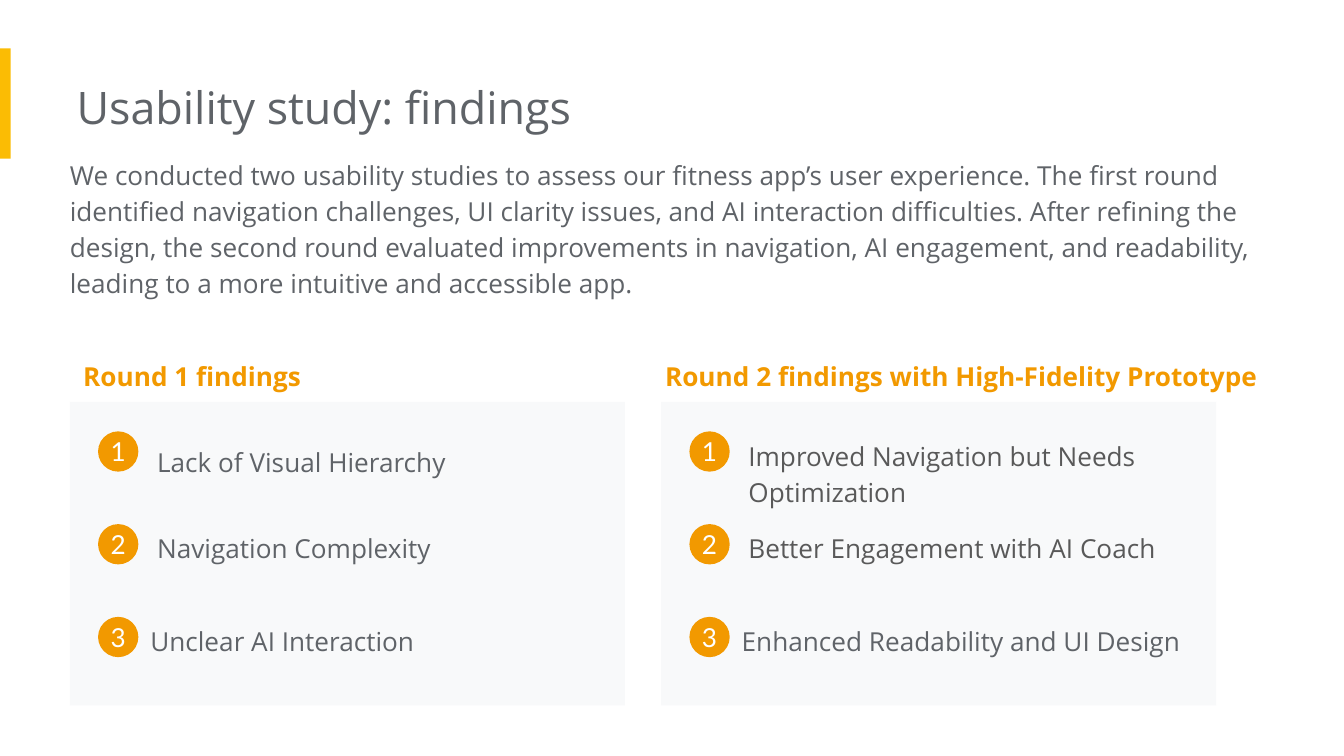
from pptx import Presentation
from pptx.dml.color import RGBColor
from pptx.enum.shapes import MSO_SHAPE as Shape
from pptx.enum.text import MSO_ANCHOR as Anchor, MSO_AUTO_SIZE as AutoSize, PP_ALIGN as Align
from pptx.util import Inches, Pt

TITLE = "Usability study: findings"
INTRO = (
    "We conducted two usability studies to assess our fitness app’s user experience. "
    "The first round identified navigation challenges, UI clarity issues, and AI interaction "
    "difficulties. After refining the design, the second round evaluated improvements in "
    "navigation, AI engagement, and readability, leading to a more intuitive and accessible app."
)
GREY, DARK, ORANGE, YELLOW, PALE, WHITE = (
    "5F6368", "595959", "F29900", "FBBC04", "F8F9FA", "FFFFFF")

ROUNDS = [
    {
        "heading": "Round 1 findings", "heading_shift": 0, "heading_width": 3.65,
        "findings": [
            ("Lack of Visual Hierarchy", GREY, 0.05, 0.44),
            ("Navigation Complexity", GREY, 0, 0.44),
            ("Unclear AI Interaction", GREY, 0, 0.44),
        ],
    },
    {
        "heading": "Round 2 findings with High-Fidelity Prototype",
        "heading_shift": -0.07, "heading_width": 5.26,
        "findings": [
            ("Improved Navigation but Needs Optimization", DARK, 0, 0.71),
            ("Better Engagement with AI Coach", DARK, 0, 0.44),
            ("Enhanced Readability and UI Design", GREY, 0, 0.44),
        ],
    },
]

SLIDE_WIDTH = 10
SLIDE_HEIGHT = SLIDE_WIDTH * 9 / 16
LEFT, COLUMN_STEP = 0.52, 4.4
PANEL_TOP, PANEL_WIDTH, PANEL_HEIGHT = 2.99, 4.13, 2.26
ROW_STEP, BADGE = 0.69, 0.3
TEXT_INDENTS = [0.55, 0.55, 0.5]


def color(value):
    return RGBColor.from_string(value)


def write(shape, text, size=14, font="Open Sans", fill=GREY, bold=False,
          spacing=1.15, align=Align.LEFT, anchor=Anchor.TOP, insets=(0.1, 0.1, 0.1, 0.1)):
    frame = shape.text_frame
    frame.word_wrap = True
    frame.vertical_anchor = anchor
    frame.margin_left, frame.margin_top, frame.margin_right, frame.margin_bottom = map(Inches, insets)
    para = frame.paragraphs[0]
    para.alignment = align
    para.line_spacing = spacing
    span = para.add_run()
    span.text = text
    span.font.size = Pt(size)
    span.font.name = font
    span.font.bold = bold
    span.font.color.rgb = color(fill)


def add_text(page, left, top, width, height, text, **style):
    box = page.shapes.add_textbox(*map(Inches, (left, top, width, height)))
    write(box, text, **style)
    box.text_frame.auto_size = AutoSize.SHAPE_TO_FIT_TEXT


def add_block(page, kind, left, top, width, height, fill):
    block = page.shapes.add_shape(kind, *map(Inches, (left, top, width, height)))
    block.shadow.inherit = False
    block.fill.solid()
    block.fill.fore_color.rgb = color(fill)
    block.line.fill.background()
    return block


def add_round(page, left, study):
    add_text(page, left + study["heading_shift"], 2.55, study["heading_width"], 0.44,
             study["heading"], fill=ORANGE, bold=True)
    add_block(page, Shape.RECTANGLE, left, PANEL_TOP, PANEL_WIDTH, PANEL_HEIGHT, PALE)
    for row, (finding, fill, drop, height) in enumerate(study["findings"]):
        top = PANEL_TOP + 0.15 + row * ROW_STEP
        badge = add_block(page, Shape.OVAL, left + 0.21, top + 0.07, BADGE, BADGE, ORANGE)
        write(badge, str(row + 1), font="Lato", fill=WHITE, spacing=1.0,
              align=Align.CENTER, anchor=Anchor.MIDDLE, insets=(0, 0, 0, 0))
        add_text(page, left + TEXT_INDENTS[row], top + drop, 3.65, height, finding, fill=fill)


def main():
    deck = Presentation()
    deck.slide_width, deck.slide_height = Inches(SLIDE_WIDTH), Inches(SLIDE_HEIGHT)
    page = deck.slides.add_slide(deck.slide_layouts[6])
    flush = (0, 0.1, 0.1, 0.1)
    add_block(page, Shape.RECTANGLE, 0, 0.36, 0.08, 0.82, YELLOW)
    add_text(page, 0.57, 0.49, 6.73, 0.61, TITLE, size=24, spacing=1.0, insets=flush)
    add_text(page, LEFT, 1.05, 8.97, 1.52, INTRO, insets=flush)
    for column, study in enumerate(ROUNDS):
        add_round(page, LEFT + column * COLUMN_STEP, study)
    deck.save("out.pptx")


if __name__ == "__main__":
    main()
